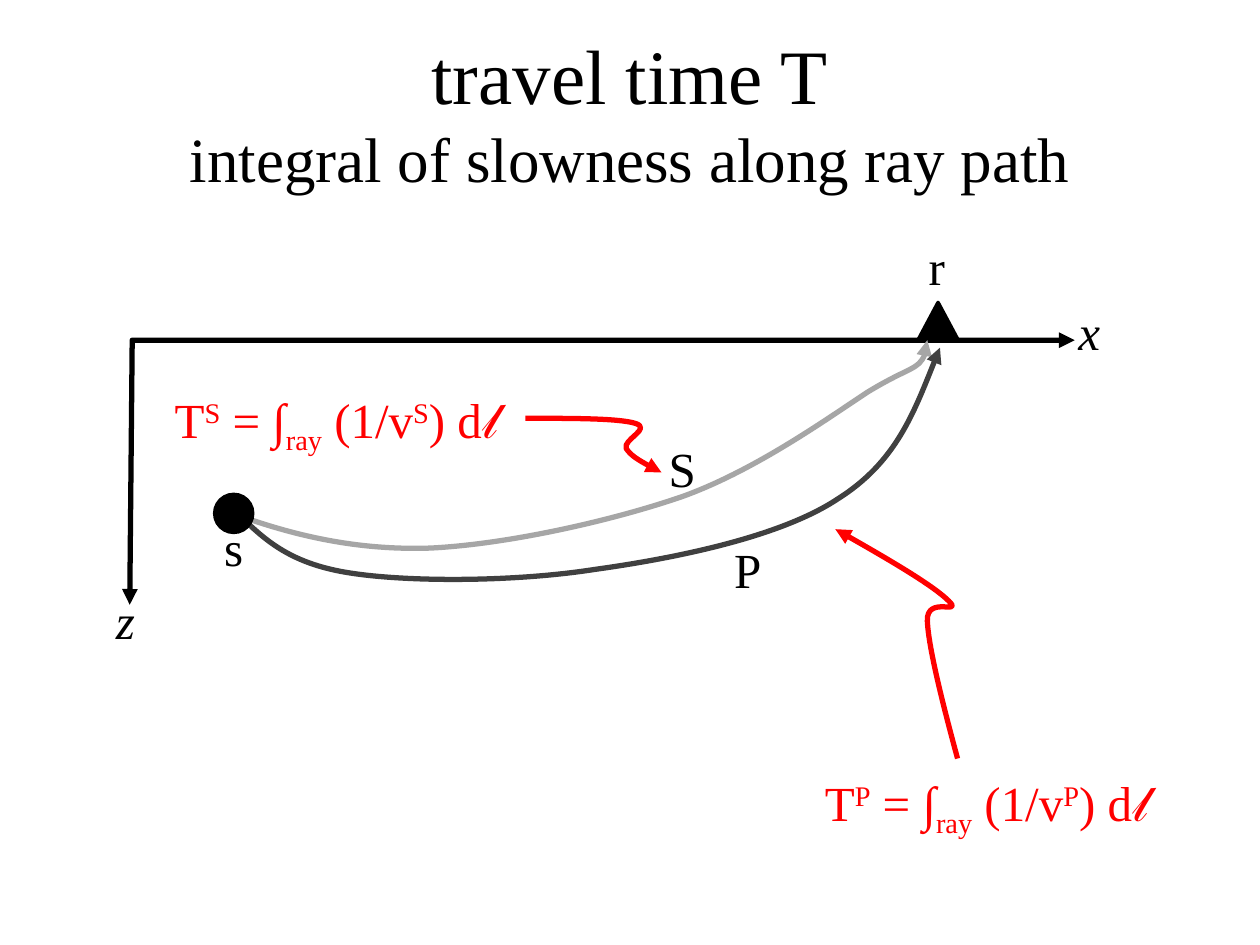
from lxml import etree
from pptx import Presentation
from pptx.dml.color import RGBColor
from pptx.enum.shapes import MSO_SHAPE
from pptx.enum.text import MSO_AUTO_SIZE, PP_ALIGN
from pptx.oxml.ns import qn
from pptx.util import Inches, Pt

TRIANGLE = MSO_SHAPE.ISOSCELES_TRIANGLE
CIRCLE = MSO_SHAPE.OVAL
CENTER = PP_ALIGN.CENTER
GROW = MSO_AUTO_SIZE.SHAPE_TO_FIT_TEXT

COLUMNS, ROWS = 100, 75
CELL = Inches(0.1)
FONT = "Times New Roman"
BLACK, RED = "000000", "FF0000"
S_GRAY, P_GRAY = "A6A6A6", "404040"
SUPERSCRIPT, SUBSCRIPT = 30000, -25000
LABEL_SIZE = 28
LABEL_WIDTH, FORMULA_WIDTH, TEXT_HEIGHT = 8.3, 35, 5.7


def cells(count):
    return round(count * CELL)


def color(hex_code):
    return RGBColor.from_string(hex_code)


def style_line(shape, hex_code, width, ends=()):
    shape.line.color.rgb = color(hex_code)
    shape.line.width = Pt(width)
    line = shape._element.spPr.find(qn("a:ln"))
    etree.SubElement(line, qn("a:round"))
    for end in ends:
        etree.SubElement(line, qn(f"a:{end}"), type="triangle")


def add_marker(slide, kind, left, top, width, height):
    marker = slide.shapes.add_shape(kind, *map(cells, (left, top, width, height)))
    marker.shadow.inherit = False
    marker.fill.solid()
    marker.fill.fore_color.rgb = color(BLACK)
    marker.line.fill.background()
    return marker


def add_open_line(slide, points, hex_code, ends):
    start, *others = [(cells(x), cells(y)) for x, y in points]
    builder = slide.shapes.build_freeform(*start)
    builder.add_line_segments(others, close=False)
    shape = builder.convert_to_shape()
    shape.shadow.inherit = False
    shape.fill.background()
    style_line(shape, hex_code, 3, ends)
    return shape


def add_curve(slide, points, hex_code, ends):
    shape = add_open_line(slide, points, hex_code, ends)
    segments = list(shape._element.iter(qn("a:lnTo")))
    outline = segments[0].getparent()
    for first in range(0, len(segments), 3):
        bezier = etree.SubElement(outline, qn("a:cubicBezTo"))
        for segment in segments[first:first + 3]:
            bezier.append(segment[0])
            outline.remove(segment)


def add_text(slide, left, top, width, height, lines, hex_code=BLACK):
    box = slide.shapes.add_textbox(*map(cells, (left, top, width, height)))
    frame = box.text_frame
    frame.word_wrap = True
    frame.auto_size = GROW
    for index, (size, spans) in enumerate(lines):
        para = frame.add_paragraph() if index else frame.paragraphs[0]
        para.alignment = CENTER
        for text, baseline, italic in spans:
            span = para.add_run()
            span.text = text
            span.font.name = FONT
            span.font.size = Pt(size)
            span.font.color.rgb = color(hex_code)
            if italic:
                span.font.italic = True
            if baseline:
                span._r.get_or_add_rPr().set("baseline", str(baseline))


def add_label(slide, text, left, top, italic=False):
    add_text(slide, left, top, LABEL_WIDTH, TEXT_HEIGHT,
             [(LABEL_SIZE, [(text, 0, italic)])])


def add_formula(slide, wave, left, top):
    parts = [("T", 0), (wave, SUPERSCRIPT), (" = ∫", 0), ("ray", SUBSCRIPT),
             (" (1/v", 0), (wave, SUPERSCRIPT), (") d𝓁", 0)]
    spans = [(text, baseline, False) for text, baseline in parts]
    add_text(slide, left, top, FORMULA_WIDTH, TEXT_HEIGHT,
             [(LABEL_SIZE, spans)], RED)


def add_title(slide):
    add_text(slide, 0, 1.7, COLUMNS, 14.5, [
        (44, [("travel time T", 0, False)]),
        (36, [("integral of slowness along ray path", 0, False)]),
    ])


def main():
    deck = Presentation()
    deck.slide_width, deck.slide_height = cells(COLUMNS), cells(ROWS)
    slide = deck.slides.add_slide(deck.slide_layouts[6])

    add_open_line(slide, [(10.3, 48), (10.5, 27), (85.3, 27)], BLACK,
                  ("headEnd", "tailEnd"))
    receiver = add_marker(slide, TRIANGLE, 72.9, 24, 3.1, 2.9)
    style_line(receiver, BLACK, 2)
    add_label(slide, "z", 5.8, 46.4, italic=True)
    add_label(slide, "x", 82.3, 23.4, italic=True)

    s_ray = [(18.6, 40.8), (23.3, 42.5), (28.3, 43.7), (34.2, 43.5),
             (40.2, 43.2), (48.4, 41.4), (54.2, 39.4),
             (60, 37.3), (65.7, 33.2), (68.9, 31.1),
             (72.2, 29.1), (73.5, 29.4), (73.6, 27)]
    p_ray = [(19.2, 41.1), (21.2, 43), (23.2, 44.8), (27.9, 45.5),
             (32.5, 46.2), (40.8, 46.2), (47.2, 45.2),
             (53.7, 44.3), (62, 42.6), (66.5, 39.6),
             (71.1, 36.7), (72.8, 32.1), (74.6, 27.6)]
    add_curve(slide, s_ray, S_GRAY, ("tailEnd",))
    add_curve(slide, p_ray, P_GRAY, ("tailEnd",))
    add_label(slide, "P", 55.2, 42.3)
    add_label(slide, "S", 50, 34.3)
    add_marker(slide, CIRCLE, 16.9, 39.1, 3.3, 3.3)
    add_label(slide, "s", 14.4, 40.6)
    add_label(slide, "r", 70.2, 18.3)

    p_pointer = [(66.3, 42), (70.2, 44.2), (74.1, 46.5), (75.3, 47.7),
                 (76.5, 48.9), (73.5, 47.2), (73.6, 49.3),
                 (73.7, 51.4), (74.8, 55.8), (76, 60.2)]
    s_pointer = [(41.7, 33.2), (45.4, 33.2), (49.1, 33.2), (50.4, 33.6),
                 (51.8, 34), (49.4, 34.9), (49.7, 35.6),
                 (50.1, 36.2), (51.3, 36.9), (52.5, 37.5)]
    add_curve(slide, p_pointer, RED, ("headEnd",))
    add_formula(slide, "S", 9.2, 30.4)
    add_title(slide)
    add_curve(slide, s_pointer, RED, ("tailEnd",))
    add_formula(slide, "P", 60.8, 60.8)
    deck.save("out.pptx")


if __name__ == "__main__":
    main()
